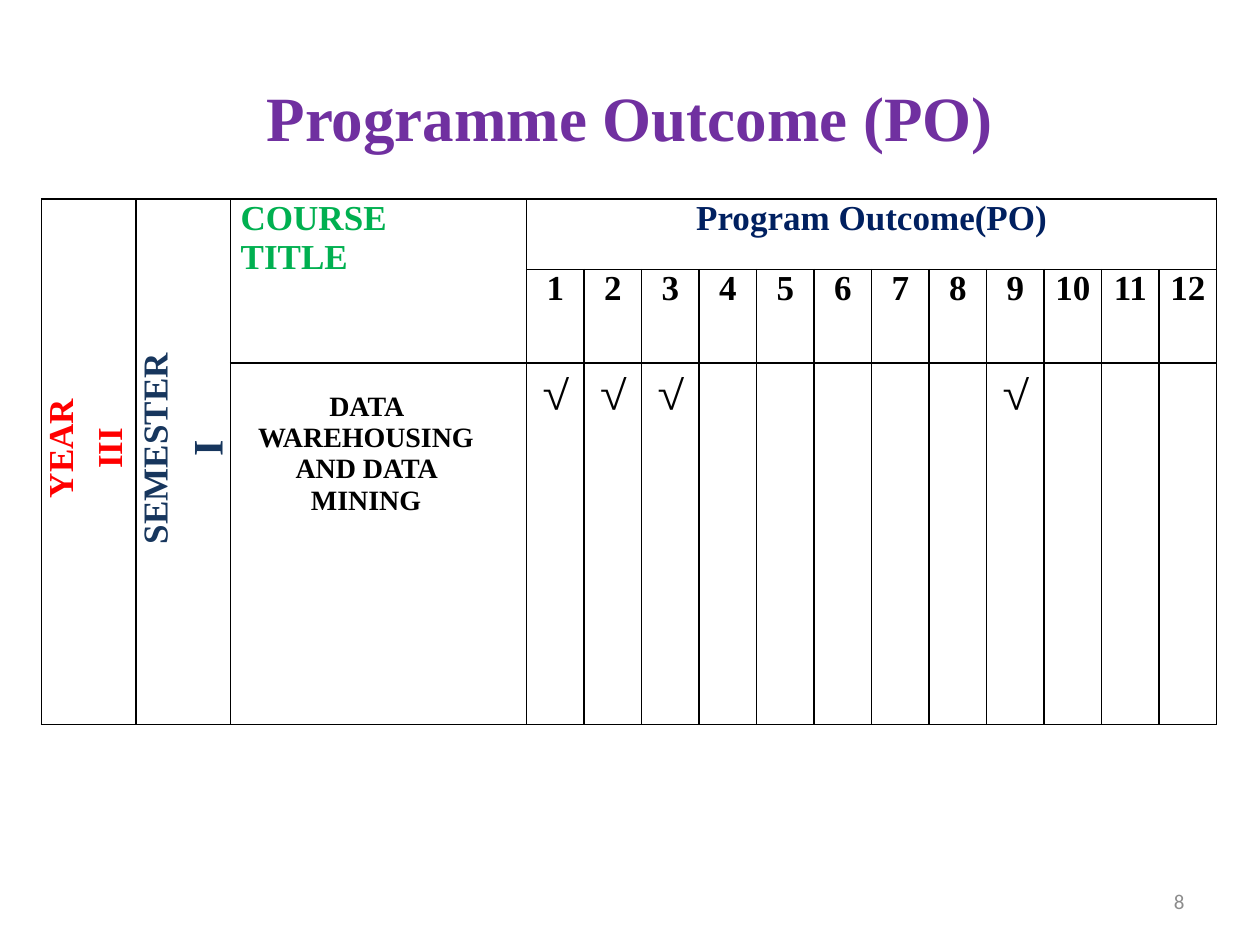
from lxml.etree import SubElement
from pptx import Presentation
from pptx.dml.color import RGBColor
from pptx.enum.text import MSO_ANCHOR, PP_ALIGN
from pptx.oxml.ns import qn
from pptx.util import Inches, Pt

OUTCOMES = 12
MET_OUTCOMES = (1, 2, 3, 9)
FIRST_OUTCOME_COLUMN = 3


def color(hex_value):
    return RGBColor.from_string(hex_value)


class SlideBuilder:
    font = "Times New Roman"
    border = "000000"

    def __init__(self, deck):
        self.page = deck.slides.add_slide(deck.slide_layouts[5])

    def add_text(self, para, text, size, hex_value, bold=True, font=None,
                 align=PP_ALIGN.CENTER):
        para.alignment = align
        span = para.add_run()
        span.text = text
        span.font.name = font or self.font
        span.font.size = Pt(size)
        span.font.bold = bold
        span.font.color.rgb = color(hex_value)

    def title(self, text):
        box = self.page.shapes.title
        box.left, box.top = Inches(0.5), Inches(0.3)
        box.width, box.height = Inches(9), Inches(1.25)
        box.text_frame.vertical_anchor = MSO_ANCHOR.MIDDLE
        self.add_text(box.text_frame.paragraphs[0], text, 36, "7030A0")

    def page_number(self, text):
        box = self.page.shapes.add_textbox(
            Inches(7.17), Inches(6.95), Inches(2.33), Inches(0.4))
        box.text_frame.word_wrap = True
        box.text_frame.vertical_anchor = MSO_ANCHOR.MIDDLE
        self.add_text(box.text_frame.paragraphs[0], text, 12, "8C8C8C",
                      bold=False, font="Calibri", align=PP_ALIGN.RIGHT)

    def grid(self, left, top, widths, heights):
        """Add an unfilled table with thin borders and no cell margins."""
        frame = self.page.shapes.add_table(
            len(heights), len(widths), Inches(left), Inches(top),
            Inches(sum(widths)), Inches(sum(heights)))
        table = frame.table
        table.first_row = table.horz_banding = False
        for column, width in zip(table.columns, widths):
            column.width = Inches(width)
        for row, height in zip(table.rows, heights):
            row.height = Inches(height)
        for cell in table.iter_cells():
            self.set_margins(cell)
            self.outline(cell)
            cell.fill.background()
        return table

    def set_margins(self, cell, left=0, top=0, right=0):
        cell.margin_left, cell.margin_top = Inches(left), Inches(top)
        cell.margin_right, cell.margin_bottom = Inches(right), 0

    def outline(self, cell):
        properties = cell._tc.get_or_add_tcPr()
        for side in ("a:lnL", "a:lnR", "a:lnT", "a:lnB"):
            line = SubElement(properties, qn(side), w=str(Pt(1)))
            fill = SubElement(line, qn("a:solidFill"))
            SubElement(fill, qn("a:srgbClr"), val=self.border)

    def turn(self, cell, direction):
        cell._tc.get_or_add_tcPr().set("vert", direction)

    def vertical_label(self, cell, hex_value, lines):
        """Set (text, size) lines reading upwards."""
        self.turn(cell, "vert270")
        frame = cell.text_frame
        for index, (text, size) in enumerate(lines):
            para = frame.add_paragraph() if index else frame.paragraphs[0]
            para.line_spacing = 1.01
            para.space_before = Pt(5.5)
            indents = para._p.get_or_add_pPr()
            indents.set("marL", str(Inches(0.52)))
            indents.set("indent", str(Inches(-0.31)))
            self.add_text(para, text, size, hex_value)

    def cell_text(self, cell, text, size, hex_value, **style):
        self.add_text(cell.text_frame.paragraphs[0], text, size, hex_value, **style)

    def check_mark(self, cell):
        self.turn(cell, "wordArtVert")
        cell.text_frame.paragraphs[0].line_spacing = 1.15
        self.cell_text(cell, "√", 20, "000000", bold=False, font="Montserrat")


def main():
    deck = Presentation()
    deck.slide_width, deck.slide_height = Inches(10), Inches(7.5)
    slide = SlideBuilder(deck)
    slide.title("Programme Outcome (PO)")

    label_widths = [0.75, 0.75, 2.35]
    outcome_width = (9.33 - sum(label_widths)) / OUTCOMES
    table = slide.grid(0.33, 1.58, label_widths + [outcome_width] * OUTCOMES,
                       [0.56, 0.74, 2.87])
    year, semester, heading = (table.cell(0, column) for column in range(3))
    outcome_heading = table.cell(0, FIRST_OUTCOME_COLUMN)
    year.merge(table.cell(2, 0))
    semester.merge(table.cell(2, 1))
    heading.merge(table.cell(1, 2))
    outcome_heading.merge(table.cell(0, FIRST_OUTCOME_COLUMN + OUTCOMES - 1))

    slide.vertical_label(year, "FF0000", [("YEAR", 20), ("III", 20)])
    slide.vertical_label(semester, "17365D", [("SEMESTER", 20), ("I", 24)])
    slide.set_margins(heading, left=0.08, right=0.5)
    slide.cell_text(heading, "COURSE TITLE", 20, "00B050", align=PP_ALIGN.LEFT)
    slide.cell_text(outcome_heading, "Program Outcome(PO)", 20, "002060")

    course = table.cell(2, 2)
    slide.set_margins(course, left=0.2, top=0.23, right=0.4)
    slide.cell_text(course, "DATA WAREHOUSING AND DATA MINING", 16, "000000")

    for outcome in range(1, OUTCOMES + 1):
        column = FIRST_OUTCOME_COLUMN + outcome - 1
        slide.cell_text(table.cell(1, column), str(outcome), 20, "000000")
        if outcome in MET_OUTCOMES:
            slide.check_mark(table.cell(2, column))

    slide.page_number("8")
    deck.save("out.pptx")


if __name__ == "__main__":
    main()
